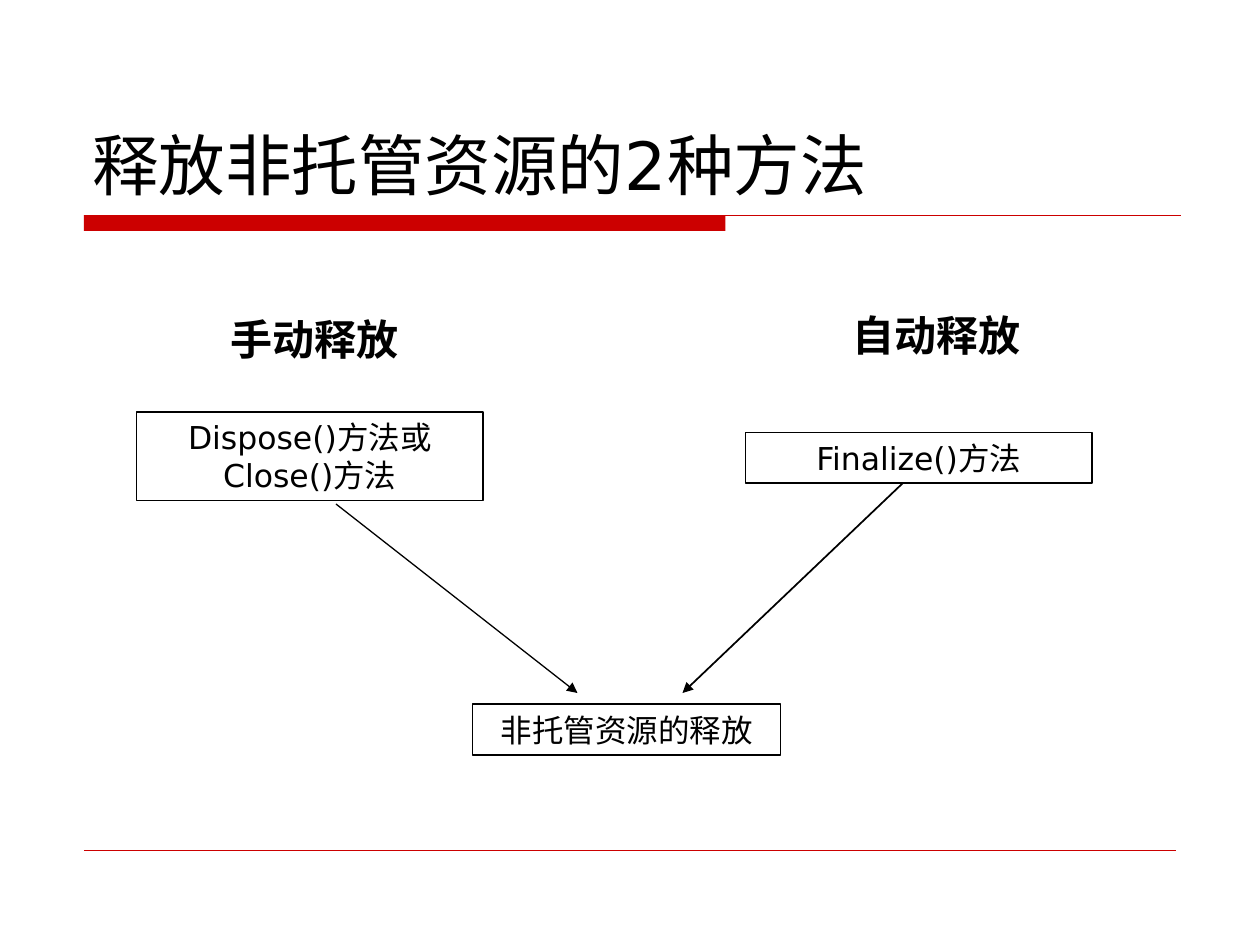
from lxml.etree import SubElement
from pptx import Presentation
from pptx.dml.color import RGBColor
from pptx.enum.shapes import MSO_CONNECTOR as Connector, MSO_SHAPE as Shape
from pptx.enum.text import MSO_ANCHOR as Anchor, MSO_AUTO_SIZE as AutoSize, PP_ALIGN as Align
from pptx.oxml.ns import qn
from pptx.util import Pt

FONT = "DejaVu Sans"
BLACK, RED = "000000", "CC0000"

TITLE = "释放非托管资源的2种方法"
# text, (left, top, width, height)
HEADINGS = [
    ("手动释放", (124.5, 175.5, 139, 36)),
    ("自动释放", (480, 173.5, 150, 36)),
]
# text, (left, top, width, height), line width
BOXES = [
    ("Dispose()方法或Close()方法", (78, 235.5, 198, 50.5), 0.75),
    ("Finalize()方法", (426, 247, 198, 29), 0.75),
    ("非托管资源的释放", (270, 402.5, 176, 29), 1),
]
# start, end, line width
ARROWS = [
    ((192, 288), (330, 396), 0.75),
    ((516, 276), (390, 396), 1),
]
RULES = [
    ((48, 123), (675, 123), 0.75),
    ((48, 486), (672, 486), 0.25),
]
BAR = (48, 123, 366.5, 9)


def color(value):
    return RGBColor.from_string(value)


def points(values):
    return [Pt(value) for value in values]


def write(shape, text, size, align, anchor, bold=False):
    frame = shape.text_frame
    frame.word_wrap = True
    frame.auto_size = AutoSize.NONE
    frame.vertical_anchor = anchor
    para = frame.paragraphs[0]
    para.alignment = align
    span = para.add_run()
    span.text = text
    font = span.font
    font.name, font.size, font.bold = FONT, Pt(size), bold
    font.color.rgb = color(BLACK)
    SubElement(font._element, qn("a:ea"), typeface=FONT)


def add_line(page, start, end, width, value, arrow=False):
    line = page.shapes.add_connector(Connector.STRAIGHT, *points(start + end))
    line.line.width = Pt(width)
    line.line.color.rgb = color(value)
    if arrow:
        SubElement(line.line._get_or_add_ln(), qn("a:tailEnd"), type="triangle")
    SubElement(line._element.spPr, qn("a:effectLst"))


def add_rectangle(page, place):
    shape = page.shapes.add_shape(Shape.RECTANGLE, *points(place))
    shape.shadow.inherit = False
    return shape


def main():
    deck = Presentation()
    deck.slide_width, deck.slide_height = Pt(720), Pt(540)
    page = deck.slides.add_slide(deck.slide_layouts[5])

    title = page.shapes.title
    title.left, title.top, title.width, title.height = points((45.5, 24, 630, 96))
    write(title, TITLE, 38, Align.LEFT, Anchor.BOTTOM)

    bar = add_rectangle(page, BAR)
    bar.fill.solid()
    bar.fill.fore_color.rgb = color(RED)
    bar.line.fill.background()
    for start, end, width in RULES:
        add_line(page, start, end, width, RED)

    for text, place in HEADINGS:
        heading = page.shapes.add_textbox(*points(place))
        write(heading, text, 24, Align.LEFT, Anchor.TOP, bold=True)

    for text, place, width in BOXES:
        box = add_rectangle(page, place)
        box.fill.background()
        box.line.color.rgb = color(BLACK)
        box.line.width = Pt(width)
        write(box, text, 18, Align.CENTER, Anchor.MIDDLE)

    for start, end, width in ARROWS:
        add_line(page, start, end, width, BLACK, arrow=True)

    deck.save("out.pptx")


if __name__ == "__main__":
    main()
